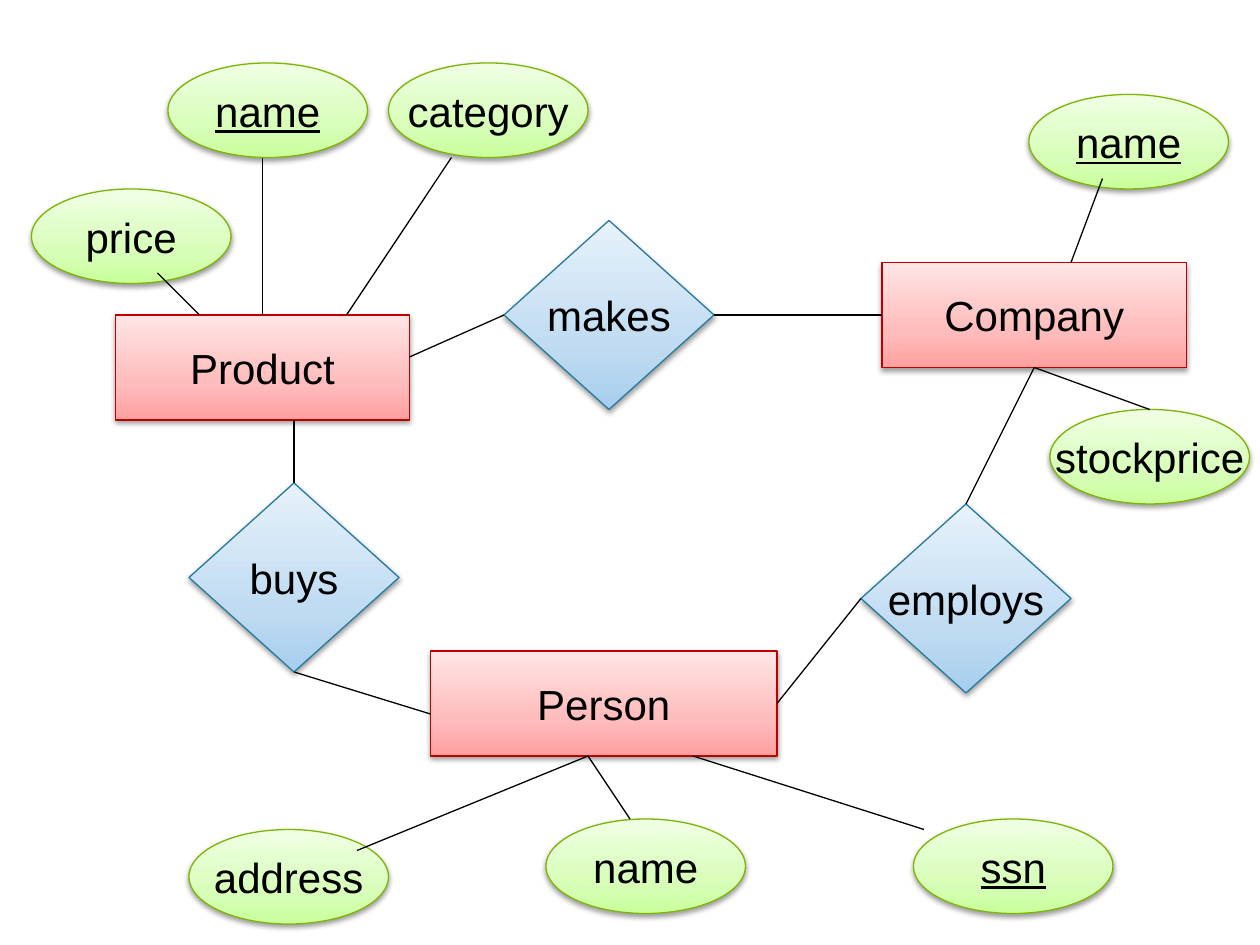
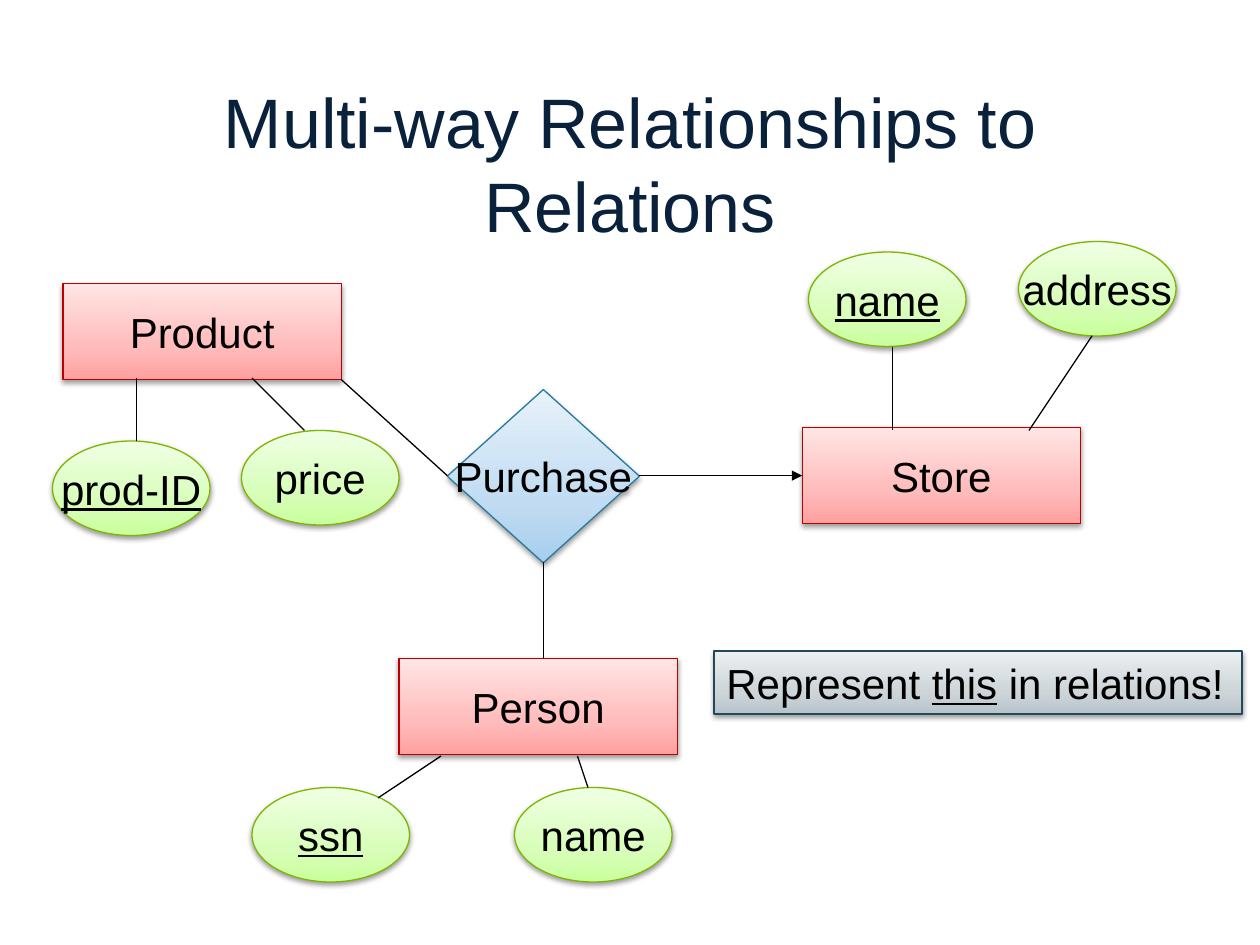
from copy import deepcopy
from lxml import etree
from pptx import Presentation, util as u
from pptx.dml.color import RGBColor as RGB
from pptx.enum import shapes as es, text as et
from pptx.oxml.ns import qn

BLACK = RGB(0, 0, 0)
NAVY = RGB(0x09, 0x21, 0x3B)
STOPS = (0, 0.35, 1)
SHAPE = es.MSO_SHAPE

# Each kind: preset shape, outline, gradient from bottom to top
KINDS = {
    "entity": (SHAPE.RECTANGLE, RGB(0xBC, 0, 0),
               (RGB(0xFF, 0xA0, 0xA0), RGB(0xFF, 0xBC, 0xBC), RGB(0xFF, 0xE5, 0xE5))),
    "relation": (SHAPE.DIAMOND, RGB(0x28, 0x7A, 0x9E),
                 (RGB(0xA6, 0xCE, 0xEE), RGB(0xC1, 0xDC, 0xF2), RGB(0xE7, 0xF2, 0xFB))),
    "field": (SHAPE.OVAL, RGB(0x7D, 0xB6, 0x02),
              (RGB(0xC9, 0xFF, 0x9C), RGB(0xD8, 0xFE, 0xBA), RGB(0xF0, 0xFF, 0xE4))),
    "note": (SHAPE.RECTANGLE, RGB(0x22, 0x49, 0x57),
             (RGB(0xB8, 0xC3, 0xCA), RGB(0xCD, 0xD5, 0xD9), RGB(0xEC, 0xEF, 0xF1))),
}
COLS, ROWS = 120, 90
CENTRE = dict(align=et.PP_ALIGN.CENTER, anchor=et.MSO_ANCHOR.MIDDLE)
LABEL = dict(size=u.Pt(24), name="Arial")
HEAD = dict(size=u.Pt(40), name="Arial")


def style(item, form):
    for key, val in form.items():
        setattr(item, key, val)


def scale(box, x, y):
    """Turn columns and rows of the box into lengths."""
    return round(x * box[2] / COLS), round(y * box[3] / ROWS)


def spot(box, x, y):
    dx, dy = scale(box, x, y)
    return box[0] + dx, box[1] + dy


def write(frame, words, form, color, align, anchor):
    """Write words; a part between underscores is underlined."""
    frame.vertical_anchor = anchor
    para = frame.paragraphs[0]
    para.alignment = align
    for i, part in enumerate(words.split("_")):
        if part:
            run = para.add_run()
            run.text = part
            style(run.font, form)
            run.font.color.rgb = color
            if i % 2:
                run.font.underline = True


def shade(shape, colors):
    """Three-stop gradient and a soft shadow below."""
    fill = shape.fill
    fill.gradient()
    stops = shape._element.spPr.find(qn("a:gradFill")).find(qn("a:gsLst"))
    stops.append(deepcopy(stops[-1]))
    for stop, place, color in zip(fill.gradient_stops, STOPS, colors):
        stop.position = place
        stop.color.rgb = color
    fill.gradient_angle = 90
    shape.shadow.inherit = False
    effects = shape._element.spPr.find(qn("a:effectLst"))
    drop = etree.SubElement(effects, qn("a:outerShdw"), blurRad="40000",
                            dist="20000", dir="5400000", rotWithShape="0")
    tint = etree.SubElement(drop, qn("a:srgbClr"), val="000000")
    etree.SubElement(tint, qn("a:alpha"), val="38000")


def node(slide, box, kind, words, x, y, w, h, place=CENTRE):
    preset, edge, colors = KINDS[kind]
    shape = slide.shapes.add_shape(preset, *spot(box, x, y), *scale(box, w, h))
    shade(shape, colors)
    shape.line.color.rgb = edge
    shape.line.width = u.Pt(0.75)
    shape.text_frame.word_wrap = False
    write(shape.text_frame, words, LABEL, BLACK, **place)
    return shape


def link(slide, box, x1, y1, x2, y2, arrow=False):
    line = slide.shapes.add_connector(
        es.MSO_CONNECTOR.STRAIGHT, *spot(box, x1, y1), *spot(box, x2, y2))
    line.line.color.rgb = BLACK
    line.line.width = u.Pt(0.75)
    props = line._element.spPr
    if arrow:
        etree.SubElement(props.find(qn("a:ln")), qn("a:tailEnd"), type="triangle")
    etree.SubElement(props, qn("a:effectLst"))


def diagram(slide, box, sizes, nodes, links):
    """Draw the nodes of each kind, then the links over them."""
    for kind, items in nodes.items():
        for words, x, y, *wide in items:
            w, h = sizes[kind]
            node(slide, box, kind, words, x, y, wide[0] if wide else w, h)
    for ends in links:
        link(slide, box, *ends)


def company(slide, box):
    sizes = {"entity": (28, 10), "relation": (20, 18), "field": (19, 9)}
    nodes = {
        "entity": [("Person", 41, 62, 33), ("Company", 84, 25, 29), ("Product", 11, 30)],
        "relation": [("buys", 18, 46), ("makes", 48, 21), ("employs", 82, 48)],
        "field": [("_name_", 16, 6), ("category", 37, 6), ("price", 3, 18),
                  ("address", 18, 79), ("name", 52, 78), ("_ssn_", 87, 78),
                  ("stockprice", 100, 39), ("_name_", 98, 9)],
    }
    links = [
        # Relations to entities
        (68, 30, 84, 30), (48, 30, 39, 34), (28, 46, 28, 40),
        (28, 64, 41, 68), (82, 57, 74, 67), (92, 48, 98.5, 35),
        # Entities to fields
        (19, 30, 15, 26), (25, 30, 25, 15), (33, 30, 43, 15),
        (56, 72, 34, 81), (56, 72, 60, 78), (66, 72, 88, 79),
        (102, 25, 105, 17), (98.5, 35, 109.5, 39),
    ]
    diagram(slide, box, sizes, nodes, links)


def purchase(slide, box):
    # Title
    title = slide.shapes.title
    left, top = spot(box, 9, 8)
    width, height = scale(box, 102, 15)
    style(title, dict(left=left, top=top, width=width, height=height))
    style(title.text_frame, dict(word_wrap=True, auto_size=et.MSO_AUTO_SIZE.NONE))
    write(title.text_frame, "Multi-way Relationships to Relations", HEAD, NAVY, **CENTRE)

    # Diagram
    sizes = {"entity": (26.5, 9.15), "relation": (18.3, 16.5), "field": (15, 9)}
    nodes = {
        "relation": [("Purchase", 42.6, 37.1)],
        "entity": [("Product", 6, 27), ("Person", 38, 62.7), ("Store", 76.4, 40.7)],
        "field": [("_prod-ID_", 5, 42), ("price", 23, 41), ("_ssn_", 24, 75),
                  ("name", 49, 75), ("_name_", 77, 24), ("address", 97, 23)],
    }
    links = [
        # Relation to entities
        (60.9, 45.3, 76.4, 45.3, True), (51.75, 53.5, 51.75, 62.7),
        (32.5, 36.15, 42.6, 45.3),
        # Entities to fields
        (13, 36, 13, 42), (24, 36, 29, 41), (85, 33, 85, 41),
        (104, 32, 98, 41), (42, 72, 36, 76), (55, 72, 56, 75),
    ]
    diagram(slide, box, sizes, nodes, links)

    # Task note
    note = node(slide, box, "note", "Represent _this_ in relations!", 68, 62, 50.3, 6,
                dict(align=et.PP_ALIGN.LEFT, anchor=et.MSO_ANCHOR.TOP))
    note.text_frame.auto_size = et.MSO_AUTO_SIZE.SHAPE_TO_FIT_TEXT


def main():
    deck = Presentation()
    style(deck, dict(slide_width=u.Inches(10), slide_height=u.Inches(7.5)))
    box = (0, 0, deck.slide_width, deck.slide_height)
    for layout, draw in ((6, company), (5, purchase)):
        draw(deck.slides.add_slide(deck.slide_layouts[layout]), box)
    deck.save("out.pptx")


if __name__ == "__main__":
    main()
